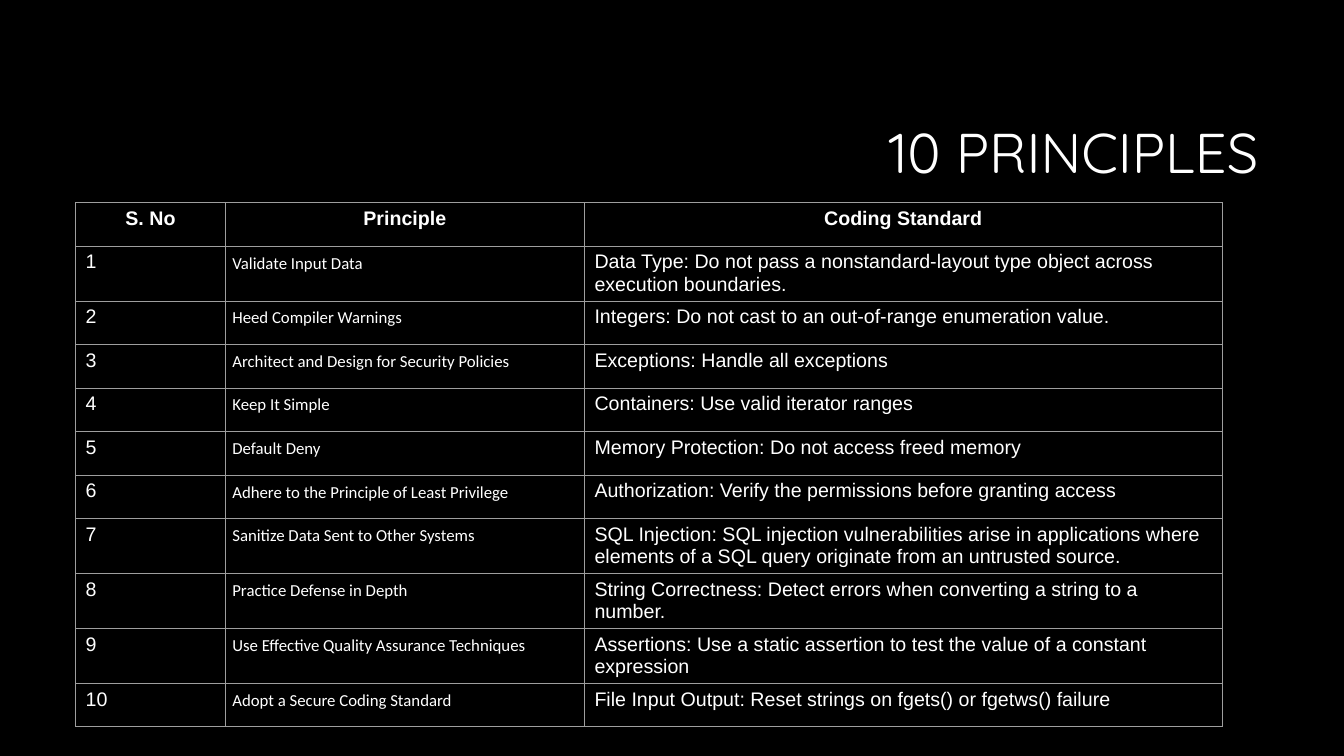
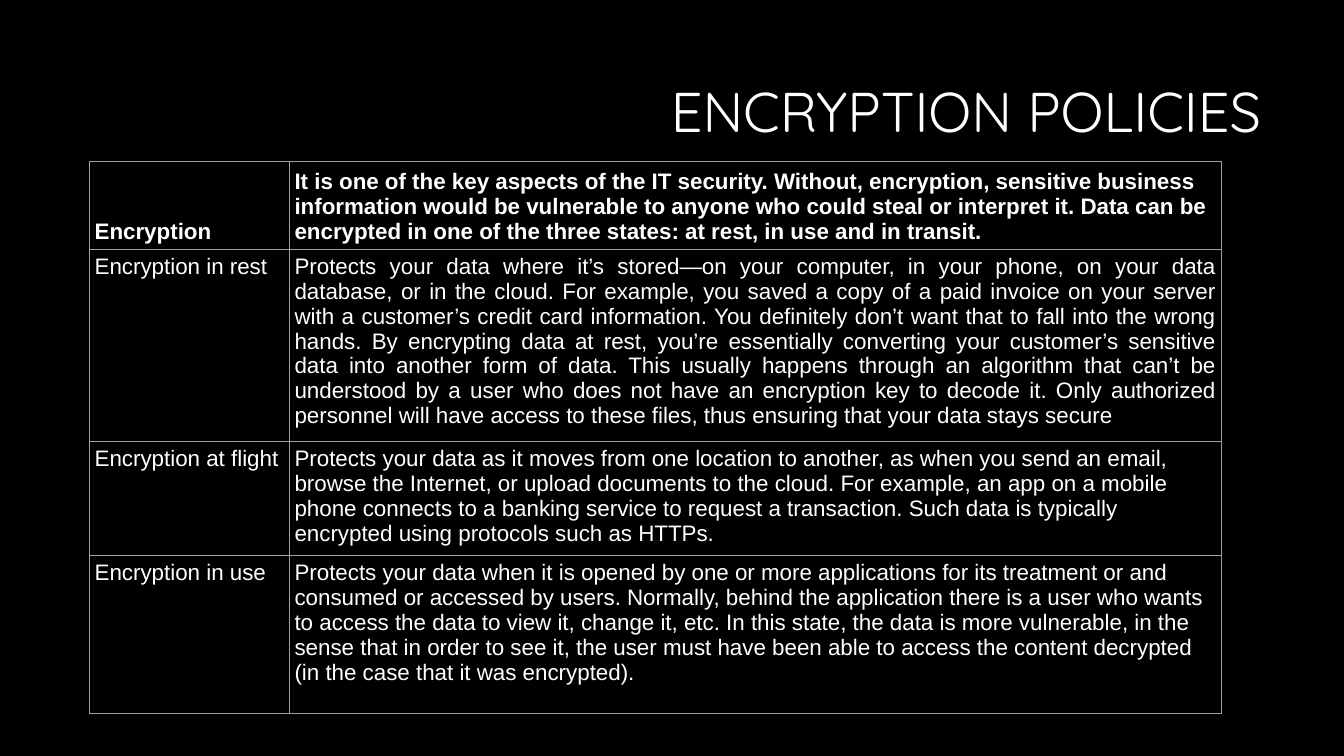
from dataclasses import dataclass

from lxml import etree
from pptx import Presentation
from pptx import util as u
from pptx.dml.color import RGBColor
from pptx.enum import text
from pptx.oxml import ns

Pt = u.Pt
LEFT, MID, RIGHT, JUST = (text.PP_ALIGN.LEFT, text.PP_ALIGN.CENTER,
                          text.PP_ALIGN.RIGHT, text.PP_ALIGN.JUSTIFY)
TOP, LOW = text.MSO_ANCHOR.TOP, text.MSO_ANCHOR.BOTTOM


# Colours, fonts and sizes
@dataclass(frozen=True)
class Theme:
    back: str = "000000"
    ink: str = "FFFFFF"
    rule: str = "9E9E9E"
    line: float = 0.75
    head: str = "Quicksand"
    body: str = "Arial"
    alt: str = "Calibri"
    large: int = 40
    mid: int = 16
    base: int = 14
    small: int = 12


# Look of one piece of text; pad is (horizontal, vertical)
@dataclass(frozen=True)
class Look:
    size: int
    font: str
    bold: bool = False
    align: int = LEFT
    anchor: int = TOP
    pad: tuple = (7.2, 3.6)


class Deck:
    def __init__(self, theme):
        self.theme = theme
        self.prs = Presentation()
        self.prs.slide_width, self.prs.slide_height = Pt(960), Pt(540)
        fill = self.prs.slide_master.background.fill
        fill.solid()
        fill.fore_color.rgb = RGBColor.from_string(theme.back)
        self.slide = None

    def add(self, title, left, top):
        self.slide = self.prs.slides.add_slide(self.prs.slide_layouts[5])
        box = self.slide.shapes.title
        box.left, box.top = Pt(left), Pt(top)
        box.width, box.height = Pt(678), Pt(101.5)
        frame = box.text_frame
        frame.word_wrap = True
        frame.auto_size = text.MSO_AUTO_SIZE.NONE
        frame.vertical_anchor = text.MSO_ANCHOR.MIDDLE
        para = frame.paragraphs[0]
        para.line_spacing = 0.9
        self.label(para, title, Look(self.theme.large, self.theme.head, align=RIGHT))

    def label(self, para, words, look):
        para.alignment = look.align
        run = para.add_run()
        run.text = words
        font = run.font
        font.size, font.name, font.bold = Pt(look.size), look.font, look.bold
        font.color.rgb = RGBColor.from_string(self.theme.ink)

    def border(self, cell):
        props = cell._tc.get_or_add_tcPr()
        for side in ("lnL", "lnR", "lnT", "lnB"):
            edge = etree.SubElement(props, ns.qn("a:" + side), w=str(Pt(self.theme.line)))
            fill = etree.SubElement(edge, ns.qn("a:solidFill"))
            etree.SubElement(fill, ns.qn("a:srgbClr"), val=self.theme.rule)

    def table(self, left, top, cols, highs, rows, style):
        """style(row, col) gives the Look of a cell."""
        grid = self.slide.shapes.add_table(
            len(rows), len(cols), Pt(left), Pt(top), Pt(sum(cols)), Pt(sum(highs))).table
        grid.first_row = grid.horz_banding = False
        for col, wide in zip(grid.columns, cols):
            col.width = Pt(wide)
        for row, high in zip(grid.rows, highs):
            row.height = Pt(high)
        for r, row in enumerate(rows):
            for c, words in enumerate(row):
                cell, look = grid.cell(r, c), style(r, c)
                self.border(cell)
                cell.fill.background()
                cell.vertical_anchor = look.anchor
                cell.margin_left = cell.margin_right = Pt(look.pad[0])
                cell.margin_top = cell.margin_bottom = Pt(look.pad[1])
                self.label(cell.text_frame.paragraphs[0], words, look)


# Wording
RULES = [
    ("Validate Input Data",
     "Data Type: Do not pass a nonstandard-layout type object across execution boundaries."),
    ("Heed Compiler Warnings",
     "Integers: Do not cast to an out-of-range enumeration value."),
    ("Architect and Design for Security Policies", "Exceptions: Handle all exceptions"),
    ("Keep It Simple", "Containers: Use valid iterator ranges"),
    ("Default Deny", "Memory Protection: Do not access freed memory"),
    ("Adhere to the Principle of Least Privilege",
     "Authorization: Verify the permissions before granting access"),
    ("Sanitize Data Sent to Other Systems",
     "SQL Injection: SQL injection vulnerabilities arise in applications where "
     "elements of a SQL query originate from an untrusted source."),
    ("Practice Defense in Depth",
     "String Correctness: Detect errors when converting a string to a number."),
    ("Use Effective Quality Assurance Techniques",
     "Assertions: Use a static assertion to test the value of a constant expression"),
    ("Adopt a Secure Coding Standard",
     "File Input Output: Reset strings on fgets() or fgetws() failure"),
]

STATES = [
    ("Encryption",
     "It is one of the key aspects of the IT security. Without, encryption, sensitive "
     "business information would be vulnerable to anyone who could steal or interpret it. "
     "Data can be encrypted in one of the three states: at rest, in use and in transit."),
    ("Encryption in rest",
     "Protects your data where it’s stored—on your computer, in your phone, on your data "
     "database, or in the cloud. For example, you saved a copy of a paid invoice on your "
     "server with a customer’s credit card information. You definitely don’t want that to "
     "fall into the wrong hands. By encrypting data at rest, you’re essentially converting "
     "your customer’s sensitive data into another form of data. This usually happens through "
     "an algorithm that can’t be understood by a user who does not have an encryption key to "
     "decode it. Only authorized personnel will have access to these files, thus ensuring "
     "that your data stays secure"),
    ("Encryption at flight",
     "Protects your data as it moves from one location to another, as when you send an email, "
     "browse the Internet, or upload documents to the cloud. For example, an app on a mobile "
     "phone connects to a banking service to request a transaction. Such data is typically "
     "encrypted using protocols such as HTTPs."),
    ("Encryption in use",
     "Protects your data when it is opened by one or more applications for its treatment or "
     "and consumed or accessed by users. Normally, behind the application there is a user who "
     "wants to access the data to view it, change it, etc. In this state, the data is more "
     "vulnerable, in the sense that in order to see it, the user must have been able to access "
     "the content decrypted (in the case that it was encrypted)."),
]


# Slide 1: principles
def rules(deck):
    t = deck.theme
    head = Look(t.base, t.body, bold=True, align=MID)
    name = Look(t.small, t.alt, pad=(5, 5))
    plain = Look(t.base, t.body)

    def style(r, c):
        if r == 0:
            return head
        return name if c == 1 else plain

    rows = [("S. No", "Principle", "Coding Standard")]
    rows += [(str(n), *pair) for n, pair in enumerate(RULES, 1)]
    highs = [39.2 if r in (1, 7, 8, 9) else 31.1 for r in range(len(rows))]
    deck.add("10 PRINCIPLES", 228, 60.5)
    deck.table(54, 144.7, [107, 256.5, 455.5], highs, rows, style)


# Slide 2: encryption
def states(deck):
    t = deck.theme

    def style(r, c):
        return Look(t.mid, t.body, bold=r == 0, align=JUST if (r, c) == (1, 1) else LEFT,
                    anchor=LOW if r == 0 else TOP, pad=(3.6, 3.6))

    deck.add("ENCRYPTION POLICIES", 230, 31)
    deck.table(64, 115.2, [142.8, 665.5], [62.8, 137.3, 81.4, 113], STATES, style)


def main():
    deck = Deck(Theme())
    rules(deck)
    states(deck)
    deck.prs.save("out.pptx")


if __name__ == "__main__":
    main()
